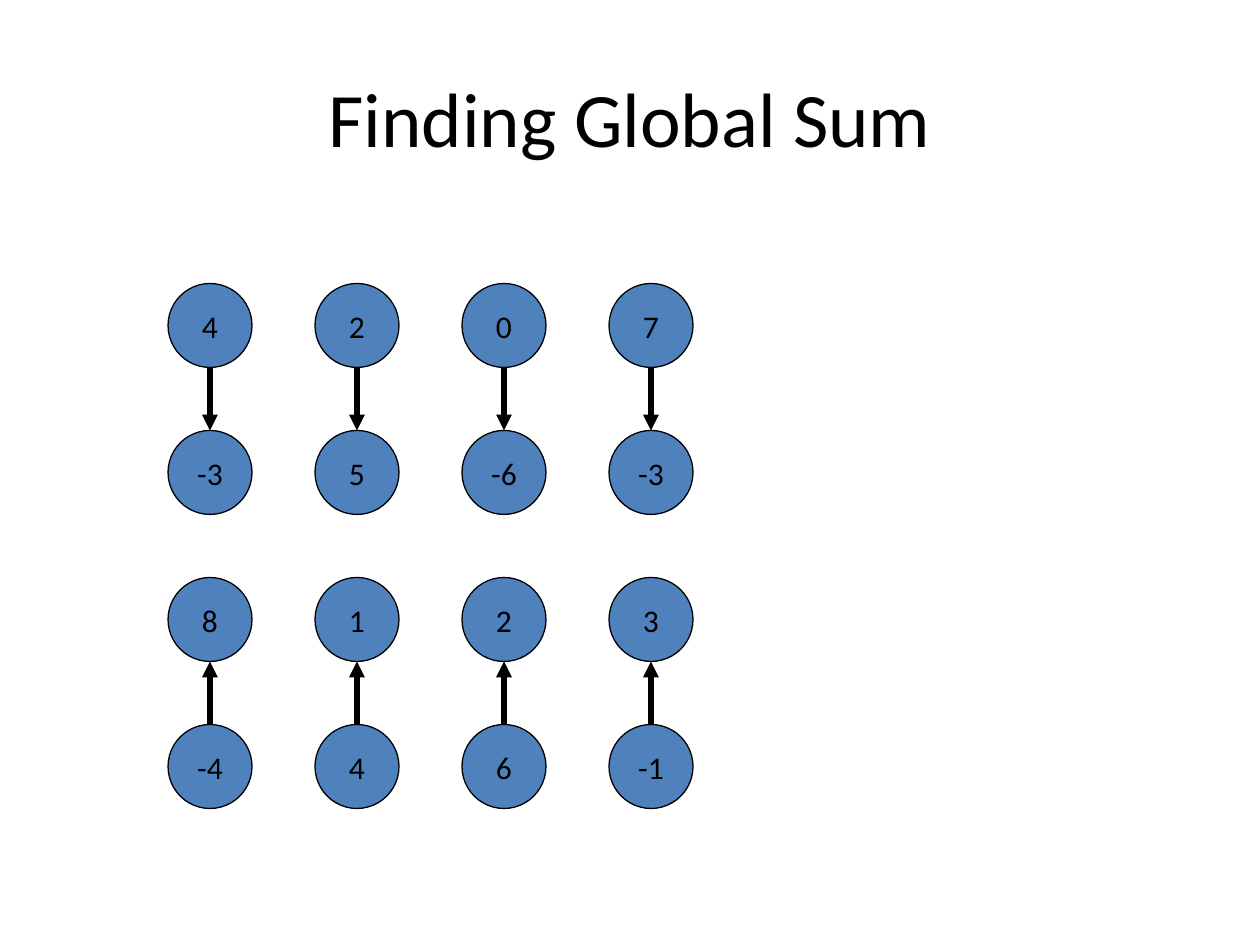
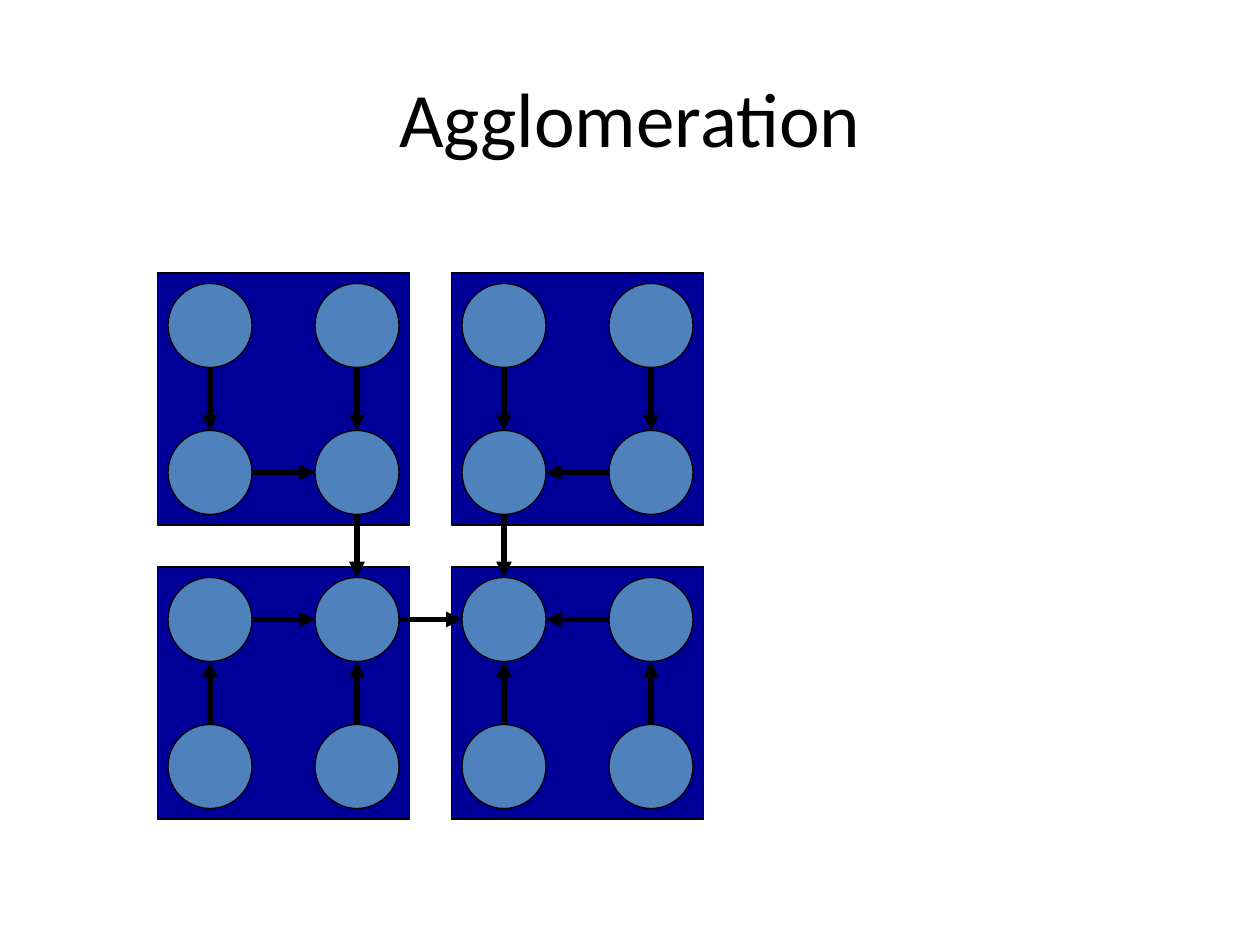
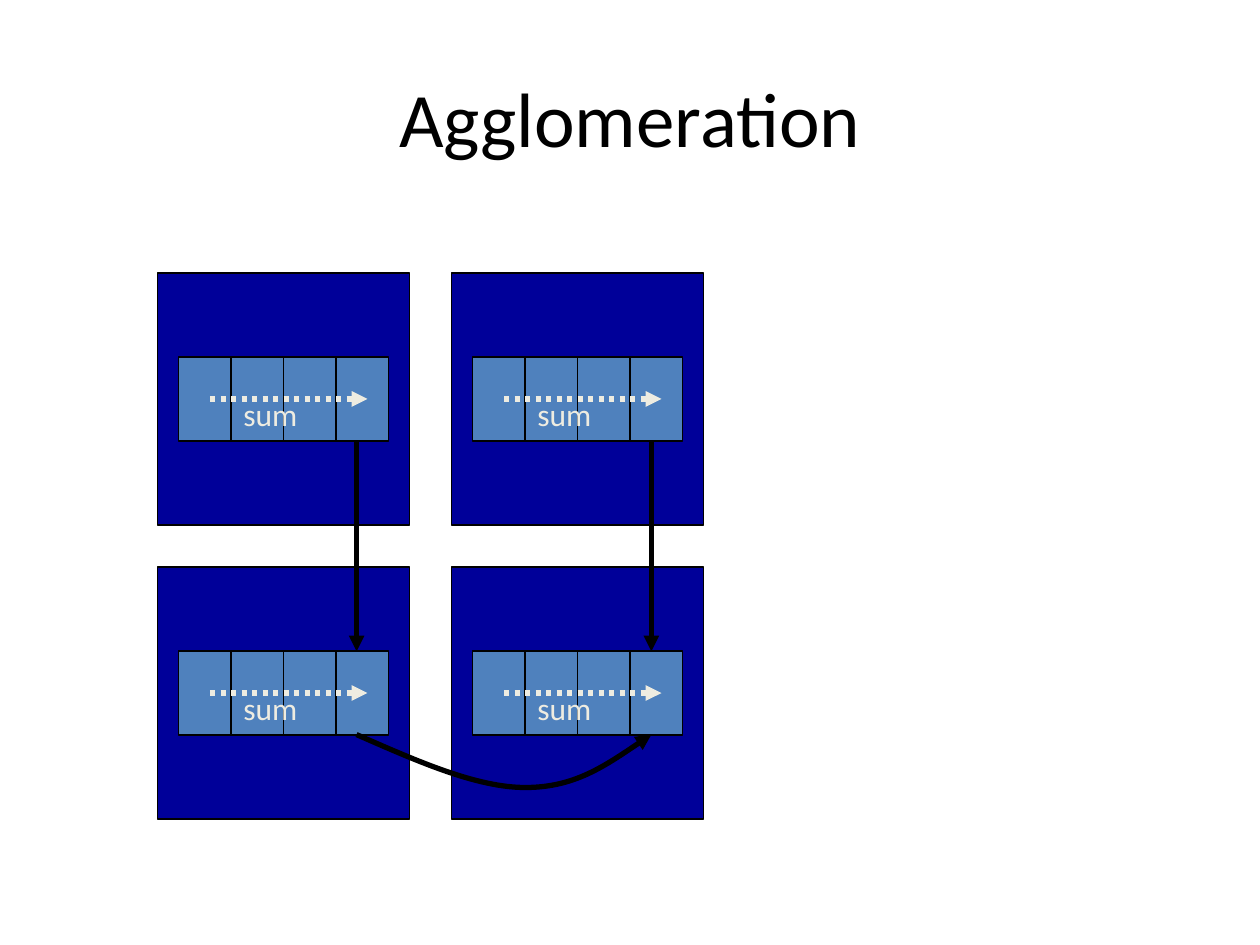
from dataclasses import dataclass
from itertools import product

from lxml.etree import SubElement
from pptx import Presentation
from pptx.dml.color import RGBColor
from pptx.enum.dml import MSO_LINE
from pptx.enum.shapes import MSO_CONNECTOR, MSO_SHAPE
from pptx.enum.text import MSO_ANCHOR, MSO_AUTO_SIZE, PP_ALIGN
from pptx.oxml.ns import qn
from pptx.util import Inches, Pt


@dataclass(frozen=True)
class Theme:
    font: str = "Calibri"
    black: RGBColor = RGBColor(0x00, 0x00, 0x00)
    blue: RGBColor = RGBColor(0x4F, 0x81, 0xBD)
    navy: RGBColor = RGBColor(0x00, 0x00, 0x99)
    cream: RGBColor = RGBColor(0xEE, 0xEC, 0xE1)
    title_size: int = 44
    label_size: int = 18
    outline: float = 0.75
    arrow: int = 3


THEME = Theme()


def add_box(slide, text, left, top, width, height, *, kind=None, fill=None,
            size=THEME.label_size, color=THEME.black, align=PP_ALIGN.CENTER,
            anchor=MSO_ANCHOR.MIDDLE, wrap=False, auto_size=MSO_AUTO_SIZE.NONE):
    """Add a filled shape of the given kind, or a text box when there is none."""
    frame = [Inches(length) for length in (left, top, width, height)]
    if kind is None:
        shape = slide.shapes.add_textbox(*frame)
    else:
        shape = slide.shapes.add_shape(kind, *frame)
        shape.shadow.inherit = False
        shape.fill.solid()
        shape.fill.fore_color.rgb = fill
        shape.line.color.rgb = THEME.black
        shape.line.width = Pt(THEME.outline)
    if text:
        text_frame = shape.text_frame
        text_frame.word_wrap = wrap
        text_frame.auto_size = auto_size
        text_frame.vertical_anchor = anchor
        paragraph = text_frame.paragraphs[0]
        paragraph.alignment = align
        run = paragraph.add_run()
        run.text = text
        run.font.name = THEME.font
        run.font.size = Pt(size)
        run.font.color.rgb = color


def add_arrow(slide, points, *, color=THEME.black, dash=None):
    """Join two points by a straight arrow, or more by a chain of Bézier curves."""
    start, *rest = [(Inches(x), Inches(y)) for x, y in points]
    if len(rest) == 1:
        arrow = slide.shapes.add_connector(MSO_CONNECTOR.STRAIGHT, *start, *rest[0])
    else:
        builder = slide.shapes.build_freeform(*start)
        builder.add_line_segments(rest, close=False)
        arrow = builder.convert_to_shape()
        arrow.fill.background()
        segments = list(arrow.element.iter(qn("a:lnTo")))
        for first, second, third in zip(segments[::3], segments[1::3], segments[2::3]):
            first.tag = qn("a:cubicBezTo")
            first.extend([second[0], third[0]])
            first.getparent().remove(second)
            first.getparent().remove(third)
    arrow.line.color.rgb = color
    arrow.line.width = Pt(THEME.arrow)
    if dash is not None:
        arrow.line.dash_style = dash
    properties = arrow.element.spPr
    SubElement(properties.find(qn("a:ln")), qn("a:tailEnd"), type="triangle")
    SubElement(properties, qn("a:effectLst"))


# Circles stand on a four by four grid; each block holds four of them.
CIRCLE_LEFT, CIRCLE_TOP = 4 / 3, 2.25
CIRCLE_SIZE, CIRCLE_STEP = 2 / 3, 7 / 6
BLOCK_SIZE, BLOCK_STEP = 2, 2 * CIRCLE_STEP
BLOCK_MARGIN = 1 / 12
CELL_WIDTH, CELL_HEIGHT = 5 / 12, 2 / 3

VALUES = [
    ["4", "2", "0", "7"],
    ["-3", "5", "-6", "-3"],
    ["8", "1", "2", "3"],
    ["-4", "4", "6", "-1"],
]
BLANK_VALUES = [[""] * 4] * 4

# Moves between circles, as (column, row) pairs.
column_moves = [((column, 0), (column, 1)) for column in range(4)]
column_moves += [((column, 3), (column, 2)) for column in range(4)]
merge_moves = [((1, 1), (1, 2)), ((2, 1), (2, 2)), ((1, 2), (2, 2))]
for row in (1, 2):
    merge_moves += [((0, row), (1, row)), ((3, row), (2, row))]

block_corners = [
    (CIRCLE_LEFT - BLOCK_MARGIN + column * BLOCK_STEP,
     CIRCLE_TOP - BLOCK_MARGIN + row * BLOCK_STEP)
    for row, column in product(range(2), repeat=2)
]

presentation = Presentation()
presentation.slide_width = Inches(10)
presentation.slide_height = Inches(7.5)

# Title, block corners, circle values and moves of each slide
slide_plans = [
    ("Finding Global Sum", [], VALUES, column_moves),
    ("Agglomeration", block_corners, BLANK_VALUES, merge_moves + column_moves),
    ("Agglomeration", block_corners, [], []),
]
for title, corners, values, moves in slide_plans:
    slide = presentation.slides.add_slide(presentation.slide_layouts[6])
    for left, top in corners:
        add_box(slide, "", left, top, BLOCK_SIZE, BLOCK_SIZE,
                kind=MSO_SHAPE.RECTANGLE, fill=THEME.navy)
    add_box(slide, title, 0.5, 0.3, 9, 1.25, size=THEME.title_size, wrap=True)
    for row, row_values in enumerate(values):
        for column, value in enumerate(row_values):
            add_box(slide, value, CIRCLE_LEFT + column * CIRCLE_STEP,
                    CIRCLE_TOP + row * CIRCLE_STEP, CIRCLE_SIZE, CIRCLE_SIZE,
                    kind=MSO_SHAPE.OVAL, fill=THEME.blue)
    radius = CIRCLE_SIZE / 2
    for (column, row), (next_column, next_row) in moves:
        across, down = next_column - column, next_row - row
        center_x = CIRCLE_LEFT + radius + column * CIRCLE_STEP
        center_y = CIRCLE_TOP + radius + row * CIRCLE_STEP
        add_arrow(slide, [
            (center_x + across * reach, center_y + down * reach)
            for reach in (radius, CIRCLE_STEP - radius)
        ])

# The last slide replaces the circles of each block by a strip of cells.
for left, top in block_corners:
    strip_left, strip_top = left + 1 / 6, top + 2 / 3
    for cell in range(4):
        add_box(slide, "", strip_left + cell * CELL_WIDTH, strip_top,
                CELL_WIDTH, CELL_HEIGHT, kind=MSO_SHAPE.RECTANGLE, fill=THEME.blue)
    add_box(slide, "sum", strip_left + CELL_WIDTH, strip_top + 0.25, 0.76, 0.5,
            color=THEME.cream, align=PP_ALIGN.LEFT, anchor=MSO_ANCHOR.TOP,
            auto_size=MSO_AUTO_SIZE.SHAPE_TO_FIT_TEXT)
    middle = strip_top + CELL_HEIGHT / 2
    add_arrow(slide, [(strip_left + 0.25, middle), (strip_left + 1.5, middle)],
              color=THEME.cream, dash=MSO_LINE.ROUND_DOT)

for x in (2.83, 5.17):
    add_arrow(slide, [(x, 3.5), (x, 5.17)])
add_arrow(slide, [(2.83, 5.83), (3.31, 6.04), (3.78, 6.25), (4.17, 6.25),
                  (4.56, 6.25), (4.86, 6.04), (5.17, 5.83)])

presentation.save("out.pptx")
